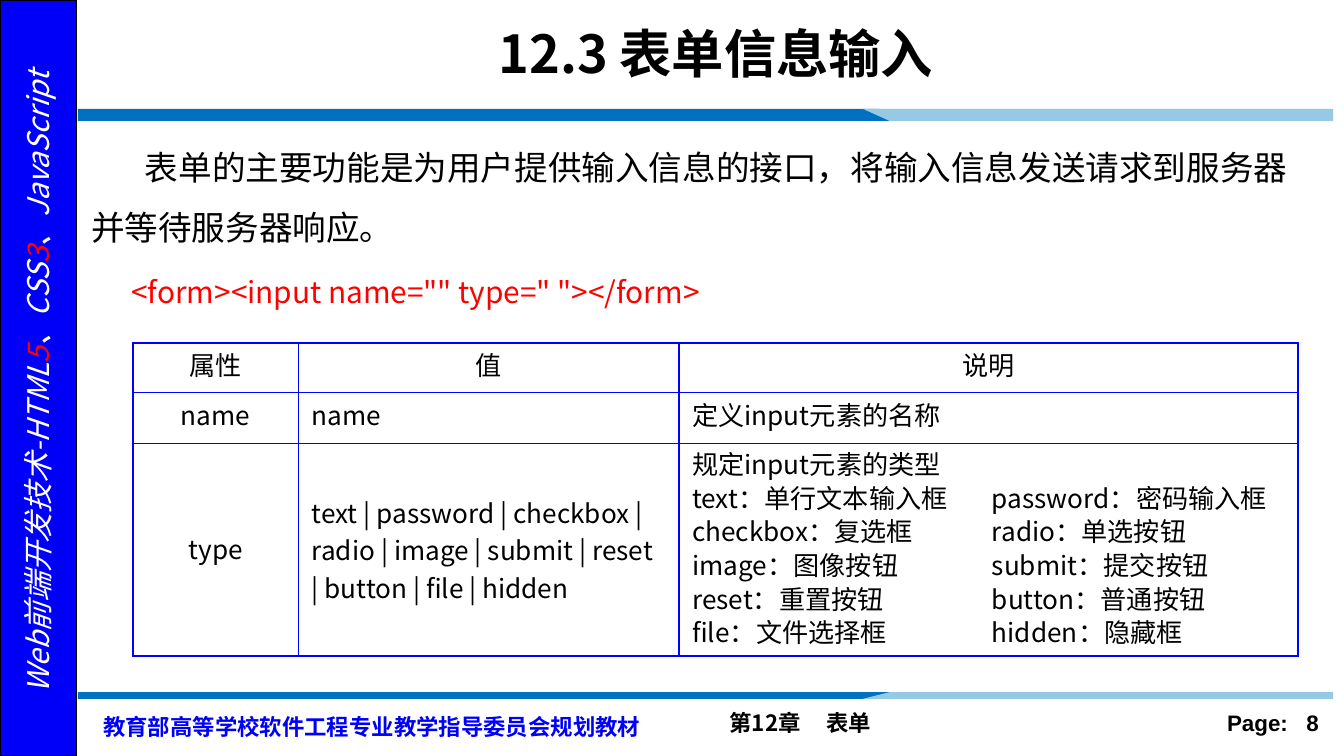
from typing import NamedTuple

from lxml.etree import SubElement
from pptx import Presentation
from pptx.dml.color import RGBColor
from pptx.enum.shapes import MSO_SHAPE as SHAPE
from pptx.enum.text import MSO_ANCHOR as ANCHOR, PP_ALIGN as ALIGN
from pptx.oxml import parse_xml
from pptx.oxml.ns import nsdecls, qn
from pptx.util import Inches, Pt

BLACK = RGBColor(0x00, 0x00, 0x00)
WHITE = RGBColor(0xFF, 0xFF, 0xFF)
RED = RGBColor(0xFF, 0x00, 0x00)
NAVY = RGBColor(0x00, 0x00, 0xFA)
GRID = RGBColor(0x00, 0x00, 0xFF)
BLUE = RGBColor(0x00, 0x70, 0xC0)
SKY = RGBColor(0x96, 0xCA, 0xE4)
FONT = "Noto Sans CJK SC"


class Run(NamedTuple):
    text: str
    color: RGBColor


class Band(NamedTuple):
    outer: float
    inner: float


class Cell(NamedTuple):
    lines: list[str]
    align: ALIGN = ALIGN.LEFT
    anchor: ANCHOR = ANCHOR.TOP
    spacing: object = 0.9
    tab: float = 0


BANDS = [Band(0.81, 0.9), Band(5.2, 5.15)]
COLUMNS = [1.23, 2.83, 4.61]
ROWS = [0.37, 0.38, 1.56]
CELLS = [
    [Cell([head], ALIGN.CENTER) for head in ("属性", "值", "说明")],
    [Cell(["name"], ALIGN.CENTER), Cell(["name"]), Cell(["定义input元素的名称"])],
    [
        Cell(["type"], ALIGN.CENTER, ANCHOR.MIDDLE),
        Cell(
            ["text | password | checkbox | radio | image | submit | reset | button | file | hidden"],
            anchor=ANCHOR.MIDDLE,
            spacing=Pt(20),
        ),
        Cell(
            [
                "规定input元素的类型",
                "text：单行文本输入框\tpassword：密码输入框",
                "checkbox：复选框\tradio：单选按钮",
                "image：图像按钮\tsubmit：提交按钮",
                "reset：重置按钮\tbutton：普通按钮",
                "file：文件选择框\thidden：隐藏框",
            ],
            spacing=Pt(18),
            tab=2.23,
        ),
    ],
]


def write(tf, content, *, size=14, color=BLACK, font=FONT, bold=False, italic=False,
          align=ALIGN.LEFT, spacing=None, before=0, after=0, left=0, indent=0, tab=0) -> None:
    """Add one formatted paragraph, given as a string or a list of runs."""
    p = tf.paragraphs[0] if not tf.paragraphs[0].runs else tf.add_paragraph()
    p.alignment = align
    p.line_spacing = spacing
    p.space_before, p.space_after = Pt(before), Pt(after)
    pPr = p._p.get_or_add_pPr()
    for name, length in (("marL", left), ("indent", indent)):
        if length:
            pPr.set(name, str(Inches(length)))
    if tab:
        tabs = SubElement(pPr, qn("a:tabLst"))
        SubElement(tabs, qn("a:tab"), pos=str(Inches(tab)), algn="l")
    for text, run_color in [Run(content, color)] if isinstance(content, str) else content:
        r = p.add_run()
        r.text = text
        r.font.name, r.font.size = font, Pt(size)
        r.font.bold, r.font.italic = bold, italic
        r.font.color.rgb = run_color
        SubElement(r._r.get_or_add_rPr(), qn("a:ea"), typeface=font)


def add_text(s, x: float, y: float, w: float, h: float, anchor=ANCHOR.TOP):
    """Add a wrapping text box and return it."""
    sp = s.shapes.add_textbox(Inches(x), Inches(y), Inches(w), Inches(h))
    sp.text_frame.word_wrap = True
    sp.text_frame.vertical_anchor = anchor
    return sp


def add_band(s, band: Band) -> None:
    """Draw a two-colour rule with a slanted joint."""
    top, bottom = band
    parts = [
        (BLUE, [(0.58, top), (6.54, top), (6.72, bottom), (0.58, bottom)]),
        (SKY, [(6.42, top), (9.92, top), (9.92, bottom), (6.62, bottom)]),
    ]
    for color, points in parts:
        start, *rest = [(Inches(x), Inches(y)) for x, y in points]
        builder = s.shapes.build_freeform(*start)
        builder.add_line_segments(rest)
        sp = builder.convert_to_shape()
        sp.shadow.inherit = False
        sp.fill.solid()
        sp.fill.fore_color.rgb = color
        sp.line.fill.background()


def fill_cell(cell, data: Cell) -> None:
    """Write a table cell and give it a thin border."""
    cell.margin_left = cell.margin_right = Inches(0.1)
    cell.margin_top = cell.margin_bottom = Inches(0.04)
    cell.vertical_anchor = data.anchor
    cell.fill.background()
    for line in data.lines:
        write(cell.text_frame, line, align=data.align, spacing=data.spacing, tab=data.tab)
    for i, side in enumerate(("lnL", "lnR", "lnT", "lnB")):
        cell._tc.get_or_add_tcPr().insert(i, parse_xml(
            f'<a:{side} {nsdecls("a")} w="{Pt(1)}"><a:solidFill>'
            f'<a:srgbClr val="{GRID}"/></a:solidFill></a:{side}>'))


def add_grid(s) -> None:
    """Draw the attribute table."""
    frame = s.shapes.add_table(len(ROWS), len(COLUMNS), Inches(0.99), Inches(2.55),
                               Inches(sum(COLUMNS)), Inches(sum(ROWS)))
    table = frame.table
    table.first_row = table.horz_banding = False
    for column, width in zip(table.columns, COLUMNS):
        column.width = Inches(width)
    for row, height, cells in zip(table.rows, ROWS, CELLS):
        row.height = Inches(height)
        for cell, data in zip(row.cells, cells):
            fill_cell(cell, data)


def add_sidebar(s, height: int) -> None:
    """Draw the left bar with its turned book title."""
    sp = s.shapes.add_shape(SHAPE.RECTANGLE, 0, 0, Inches(0.57), height)
    sp.shadow.inherit = False
    sp.fill.solid()
    sp.fill.fore_color.rgb = NAVY
    sp.line.color.rgb = BLACK
    sp.line.width = Pt(1)
    sp = add_text(s, -2.31, 2.66, 5.19, 0.37)
    sp.rotation = 270
    runs = [Run("Web前端开发技术-HTML", WHITE), Run("5", RED), Run("、CSS", WHITE),
            Run("3", RED), Run("、JavaScript", WHITE)]
    write(sp.text_frame, runs, size=16, italic=True, align=ALIGN.CENTER)


def add_footer(s) -> None:
    """Write the chapter, page and series lines."""
    write(add_text(s, 5.33, 5.23, 3.29, 0.3).text_frame, "第12章\t表单",
          size=12, bold=True, tab=0.72)
    tf = add_text(s, 8.67, 5.23, 1.25, 0.3).text_frame
    tf.margin_left = Inches(0.46)
    write(tf, "Page:\t8", size=12, font="Arial", bold=True, tab=0.59)
    write(add_text(s, 0.67, 5.21, 4.33, 0.35).text_frame,
          "教育部高等学校软件工程专业教学指导委员会规划教材",
          size=12, color=NAVY, bold=True, spacing=Pt(18))


def main() -> None:
    """Build and save the slide."""
    prs = Presentation()
    prs.slide_width = Inches(10)
    prs.slide_height = prs.slide_width * 9 // 16
    s = prs.slides.add_slide(prs.slide_layouts[6])
    add_sidebar(s, prs.slide_height)
    add_footer(s)
    for band in BANDS:
        add_band(s, band)
    write(add_text(s, 1.08, 0.08, 8.49, 0.62, ANCHOR.MIDDLE).text_frame,
          "12.3 表单信息输入", size=28, bold=True, align=ALIGN.CENTER)
    tf = add_text(s, 0.58, 0.9, 9.31, 1.42).text_frame
    write(tf, "表单的主要功能是为用户提供输入信息的接口，将输入信息发送请求到服务器并等待服务器响应。",
          size=18, spacing=Pt(32), before=5.4, after=3.6, indent=0.4)
    write(tf, '<form><input name="" type=" "></form>',
          size=16, color=RED, spacing=Pt(25), before=4.8, after=3.2, left=0.3)
    add_grid(s)
    prs.save("out.pptx")


if __name__ == "__main__":
    main()
